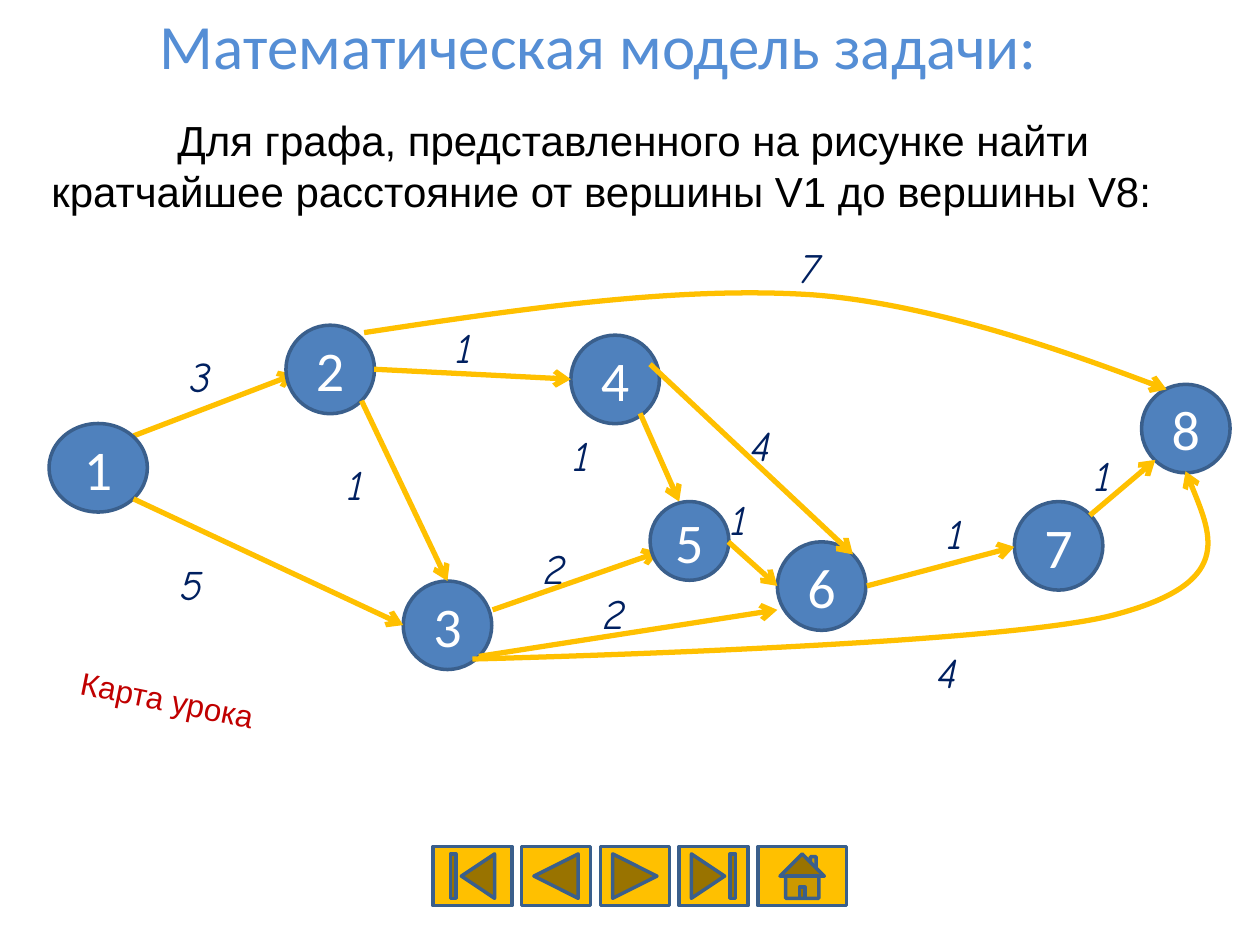
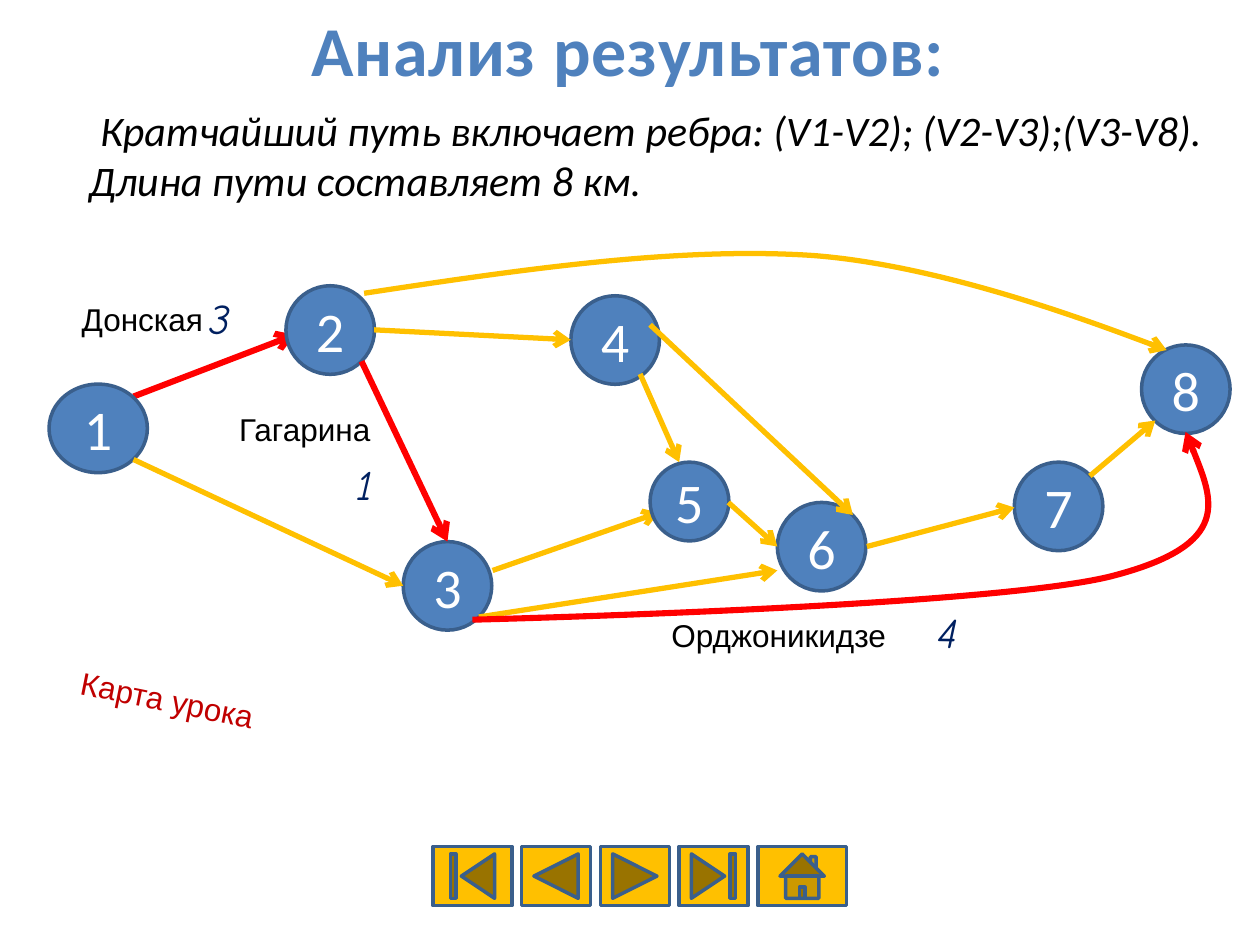
"""Build two slides about the shortest path through a weighted graph."""
from dataclasses import dataclass

from lxml.etree import SubElement
from pptx import Presentation
from pptx.dml.color import RGBColor as RGB
from pptx.enum.shapes import MSO_CONNECTOR as CONN, MSO_SHAPE as SHAPE
from pptx.enum.text import MSO_ANCHOR as ANCHOR, MSO_AUTO_SIZE as AUTO, PP_ALIGN as ALIGN
from pptx.oxml.ns import qn
from pptx.util import Pt


@dataclass(frozen=True)
class Theme:
    """Colours, fonts and sizes shared by the slides."""
    node: RGB = RGB(0x4F, 0x81, 0xBD)
    outline: RGB = RGB(0x3A, 0x5F, 0x8C)
    edge: RGB = RGB(0xFF, 0xC0, 0x00)
    route: RGB = RGB(0xFF, 0x00, 0x00)
    weight: RGB = RGB(0x00, 0x20, 0x60)
    task_title: RGB = RGB(0x55, 0x8E, 0xD5)
    lesson: RGB = RGB(0xC0, 0x00, 0x00)
    black: RGB = RGB(0x00, 0x00, 0x00)
    white: RGB = RGB(0xFF, 0xFF, 0xFF)
    head_font: str = "Calibri"
    body_font: str = "Arial"
    weight_font: str = "Comic Neue"
    task_size: float = 36
    result_size: float = 40
    node_size: float = 32
    body_size: float = 24
    small_size: float = 18
    outline_width: float = 2
    edge_width: float = 3
    route_width: float = 3.5


T = Theme()
NODE = 50.6
GRAPH_LEFT = 28

NODES = {
    1: (0, 79, 56.2, NODE), 2: (135.4, 22.8, NODE, NODE),
    3: (202.4, 169, NODE, NODE), 4: (298.2, 28.5, NODE, NODE),
    5: (343.5, 123.6, 45, 45), 6: (416.2, 146.6, NODE, NODE),
    7: (551.6, 123.6, NODE, NODE), 8: (624.3, 56.6, NODE, NODE),
}
BACK_EDGES = {
    (1, 2): [(48.3, 86.1), (140.5, 50.8)],
    (3, 5): [(253.5, 185.5), (348.6, 152.4)],
}
FRONT_EDGES = {
    (1, 3): [(48.3, 122.1), (202.4, 194.2)],
    (2, 4): [(185.8, 48), (298.2, 53.7)],
    (4, 5): [(337.8, 73.2), (360.1, 123.6)],
    (3, 6): [(245.6, 212.1), (416.2, 185.5)],
    (6, 7): [(467.4, 171.8), (551.6, 149.5)],
    (7, 8): [(594.8, 131.5), (632.2, 99.8)],
    (4, 6): [(343.5, 45.1), (459.4, 153.8)],
    (5, 6): [(388.2, 146.6), (416.2, 171.8)],
    (2, 8): [(180.1, 27.1), (270.1, 13.4), (359.4, 0.4), (436.4, 5.5),
             (512.7, 11.2), (638.7, 59.5), (638.7, 59.5)],
    (3, 8): [(242, 213.6), (242, 213.6), (540.8, 206.4), (608.5, 188.4),
             (676.9, 170.4), (663.2, 138.7), (649.5, 106.3)],
    (2, 3): [(178.6, 66), (227.7, 169)],
}
JOINED_AT_TOP = {(2, 3)}
TASK_WEIGHTS = [
    ("3", 73.5, 33.6), ("5", 67.8, 152.4), ("1", 163.5, 95.5), ("7", 422, -28.4),
    ("1", 225.4, 17), ("1", 292.4, 79), ("2", 275.8, 143.7), ("4", 393.9, 73.2),
    ("1", 382.4, 115.6), ("1", 506.2, 123.6), ("2", 309.7, 169),
    ("4", 500.5, 202.8), ("1", 590.5, 90.4),
]
ROUTE = {(1, 2), (2, 3), (3, 8)}
ROUTE_WEIGHTS = [("3", 84.3, 22.9), ("1", 168.6, 118), ("4", 500.5, 202.8)]
STREETS = [("Донская", 11.6, 27.3, 101), ("Гагарина", 101.6, 90, 135),
           ("Орджоникидзе", 348.6, 208, 140)]
BUTTONS = [
    (SHAPE.ACTION_BUTTON_BEGINNING, 45), (SHAPE.ACTION_BUTTON_BACK_OR_PREVIOUS, 39.4),
    (SHAPE.ACTION_BUTTON_FORWARD_OR_NEXT, 39.4), (SHAPE.ACTION_BUTTON_END, 39.4),
    (SHAPE.ACTION_BUTTON_HOME, 50.6),
]


def pts(*values):
    """Convert numbers to lengths in points."""
    return [Pt(v) for v in values]


def write(tf, text, size, font, color, bold=False, italic=False, align=ALIGN.LEFT):
    """Fill a text frame with one formatted paragraph and return it."""
    tf.word_wrap = True
    tf.text = text
    p = tf.paragraphs[0]
    p.alignment = align
    f = p.runs[0].font
    f.size, f.name, f.bold, f.italic = Pt(size), font, bold, italic
    f.color.rgb = color
    return p


def add_text(slide, box, text, size, font, color, **style):
    """Add a text box and return its shape and paragraph."""
    sp = slide.shapes.add_textbox(*pts(*box))
    return sp, write(sp.text_frame, text, size, font, color, **style)


def indent(p, first, margin=0):
    """Set the left margin and first-line indent of a paragraph."""
    pr = p._p.get_or_add_pPr()
    pr.set("marL", str(Pt(margin)))
    pr.set("indent", str(Pt(first)))


def add_title(slide, box, text, size, color, **style):
    """Place and format the title placeholder."""
    sp = slide.shapes.title
    sp.left, sp.top, sp.width, sp.height = pts(*box)
    p = write(sp.text_frame, text, size, T.head_font, color, **style)
    sp.text_frame.auto_size = AUTO.NONE
    sp.text_frame.vertical_anchor = ANCHOR.TOP
    return p


def add_filled(slide, kind, box, fill):
    """Add a preset shape with the common outline."""
    sp = slide.shapes.add_shape(kind, *pts(*box))
    sp.shadow.inherit = False
    sp.fill.solid()
    sp.fill.fore_color.rgb = fill
    sp.line.color.rgb = T.outline
    sp.line.width = Pt(T.outline_width)
    return sp


def add_node(slide, left, top, number):
    """Add one numbered vertex of the graph."""
    x, y, w, h = NODES[number]
    sp = add_filled(slide, SHAPE.FLOWCHART_CONNECTOR, (left + x, top + y, w, h), T.node)
    tf = sp.text_frame
    tf.margin_left = tf.margin_right = tf.margin_top = tf.margin_bottom = 0
    tf.vertical_anchor = ANCHOR.MIDDLE
    write(tf, str(number), T.node_size, T.head_font, T.white, align=ALIGN.CENTER)
    return sp


def add_curve(slide, points):
    """Add an open outline of cubic curves through start, control and end points."""
    fb = slide.shapes.build_freeform(*points[0])
    fb.add_line_segments(points[1:], close=False)
    sp = fb.convert_to_shape()
    sp.shadow.inherit = False
    sp.fill.background()
    segments = list(sp._element.iter(qn("a:lnTo")))
    for i in range(0, len(segments), 3):
        first, *others = segments[i:i + 3]
        first.tag = qn("a:cubicBezTo")
        for seg in others:
            first.append(seg[0])
            seg.getparent().remove(seg)
    return sp


def add_edge(slide, left, top, points, on_route):
    """Add a straight or curved arrow between two vertices."""
    points = [pts(left + x, top + y) for x, y in points]
    if len(points) == 2:
        sp = slide.shapes.add_connector(CONN.STRAIGHT, *points[0], *points[1])
        SubElement(sp._element.spPr, qn("a:effectLst"))
    else:
        sp = add_curve(slide, points)
    sp.line.color.rgb = T.route if on_route else T.edge
    sp.line.width = Pt(T.route_width if on_route else T.edge_width)
    SubElement(sp.line._get_or_add_ln(), qn("a:tailEnd"), type="arrow")
    return sp


def add_graph(slide, left, top, weights, route=()):
    """Draw the graph with its weights and an optional highlighted route."""
    for pair, points in BACK_EDGES.items():
        add_edge(slide, left, top, points, pair in route)
    nodes = {n: add_node(slide, left, top, n) for n in NODES}
    for pair, points in FRONT_EDGES.items():
        sp = add_edge(slide, left, top, points, pair in route)
        if pair in JOINED_AT_TOP:
            sp.end_connect(nodes[pair[1]], 0)
    for text, x, y in weights:
        add_text(slide, (left + x, top + y, 56, 36), text, T.body_size,
                 T.weight_font, T.weight, italic=True)


def add_footer(slide, left=247.5, top=483.75, height=33.75, gap=5.6):
    """Add the lesson map label and the row of navigation buttons."""
    sp, _ = add_text(slide, (38.2, 387.4, 135.4, 29), "Карта урока", T.small_size,
                     T.body_font, T.lesson)
    sp.rotation = 11.5
    for kind, width in BUTTONS:
        add_filled(slide, kind, (left, top, width, height), T.edge)
        left += width + gap


def task_slide(slide):
    """Build the slide that states the problem."""
    add_title(slide, (84.2, 0, 613.4, 95.8), "Математическая модель задачи:",
              T.task_size, T.task_title)
    add_graph(slide, GRAPH_LEFT, 163, TASK_WEIGHTS)
    _, p = add_text(slide, (22.3, 62, 664, 65.5),
                    "Для графа, представленного на рисунке найти кратчайшее "
                    "расстояние от вершины V1 до вершины V8:",
                    T.body_size, T.body_font, T.black)
    indent(p, 72)
    add_footer(slide)


def result_slide(slide):
    """Build the slide that shows the shortest route."""
    top = 140.5
    p = add_title(slide, (106.6, 0, 504.7, 55.4), "Анализ результатов:",
                  T.result_size, T.node, bold=True, align=ALIGN.CENTER)
    p.runs[0].font._element.set("spc", "50")
    _, p = add_text(slide, (16.6, 56.2, 731.5, 90),
                    "Кратчайший путь включает ребра: (V1-V2); (V2-V3);(V3-V8). "
                    "Длина пути составляет 8 км.",
                    T.body_size, T.head_font, T.black, italic=True)
    indent(p, 6.5, 27)
    add_graph(slide, GRAPH_LEFT, top, ROUTE_WEIGHTS, ROUTE)
    for name, x, y, width in STREETS:
        add_text(slide, (GRAPH_LEFT + x, top + y, width, 29), name, T.small_size,
                 T.body_font, T.black)
    add_footer(slide)


def main():
    """Create and save the presentation."""
    prs = Presentation()
    prs.slide_width, prs.slide_height = pts(720, 540)
    for build in (task_slide, result_slide):
        build(prs.slides.add_slide(prs.slide_layouts[5]))
    prs.save("out.pptx")


if __name__ == "__main__":
    main()
